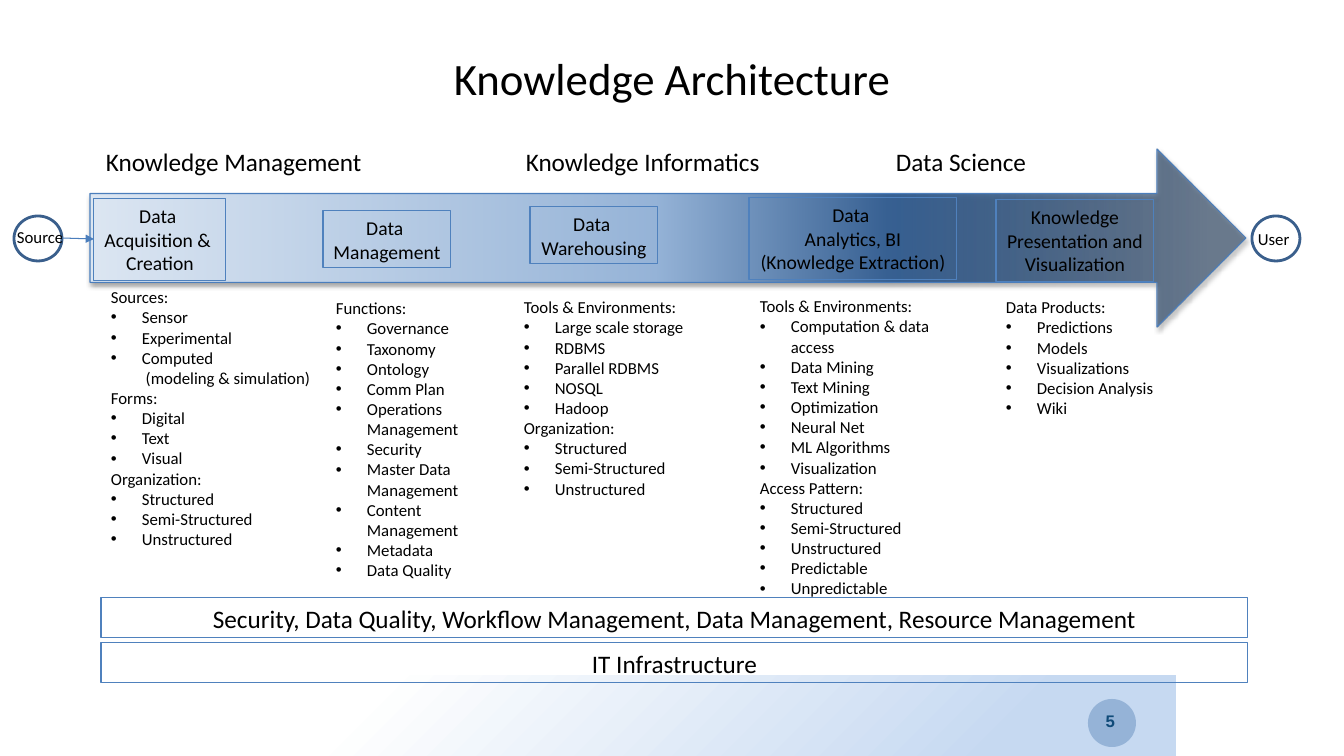
"""Build the Knowledge Architecture slide."""
from copy import deepcopy

from lxml.etree import SubElement
from pptx import Presentation
from pptx.dml.color import RGBColor
from pptx.enum.shapes import MSO_CONNECTOR, MSO_SHAPE
from pptx.enum.text import MSO_ANCHOR, MSO_AUTO_SIZE, PP_ALIGN
from pptx.oxml.ns import qn
from pptx.util import Emu, Pt

BLACK = RGBColor(0x00, 0x00, 0x00)
FRAME_BLUE = RGBColor(0x4F, 0x81, 0xBD)
ARROW_BLUE = RGBColor(0x4B, 0x7E, 0xBC)
RING_BLUE = RGBColor(0x3A, 0x5F, 0x8C)
BADGE_BLUE = RGBColor(0x95, 0xB3, 0xD7)
NUMBER_BLUE = RGBColor(0x10, 0x4B, 0x79)
FOOTER_STOPS = [(17, RGBColor(0xC6, 0xD9, 0xF1), 100), (80, RGBColor(0xFF, 0xFF, 0xFF), 100)]
ARROW_STOPS = [
    (0, RGBColor(0xDC, 0xE6, 0xF2), 100),
    (24, RGBColor(0xB9, 0xCD, 0xE5), 100),
    (49, RGBColor(0x95, 0xB3, 0xD7), 100),
    (69, RGBColor(0x37, 0x60, 0x92), 100),
    (97, RGBColor(0x25, 0x40, 0x61), 58),
]

TITLE = ("Knowledge Architecture", (444, 46, 461, 65))
DISCIPLINES = ["Knowledge Management", "Knowledge Informatics", "Data Science"]
DISCIPLINES_BOX = (96, 141, 1058, 40)
DISCIPLINE_TABS = [420, 790]
PAGE_NUMBER = ("5", (890, 701, 235, 40))
FOOTER_BOX = (168, 675, 1008, 81)
BADGE_BOX = (1088, 699, 48, 48)
ARROW_BOX = (90, 149, 1156, 178)
FLOW_START, FLOW_END = (62, 238), (94, 239)
FOUNDATIONS = [
    ("IT Infrastructure", 643),
    ("Security, Data Quality, Workflow Management, Data Management, Resource Management", 598),
]
ENDPOINTS = [
    ("Source", 14, (7, 222, 68, 30)),
    ("User", 1252, (1248, 224, 52, 30)),
]
STAGES = [
    ("Data \nAcquisition & \nCreation", (94, 199, 132, 82), False),
    ("Data \nManagement", (323, 211, 128, 57), False),
    ("Data \nWarehousing", (530, 207, 128, 57), False),
    ("Data \nAnalytics, BI\n(Knowledge Extraction)", (749, 198, 208, 82), False),
    ("Knowledge\nPresentation and Visualization", (996, 200, 158, 82), True),
]
STRUCTURES = ["Structured", "Semi-Structured", "Unstructured"]
COLUMNS = [
    ((101, 282, 223, 275), {
        "Sources:": ["Sensor", "Experimental", "Computed\n (modeling & simulation)"],
        "Forms:": ["Digital", "Text", "Visual"],
        "Organization:": STRUCTURES,
    }),
    ((326, 293, 144, 295), {
        "Functions:": ["Governance", "Taxonomy", "Ontology", "Comm Plan",
                       "Operations\nManagement", "Security", "Master Data\nManagement",
                       "Content\nManagement", "Metadata", "Data Quality"],
    }),
    ((514, 292, 182, 214), {
        "Tools & Environments:": ["Large scale storage", "RDBMS", "Parallel RDBMS",
                                  "NOSQL", "Hadoop"],
        "Organization:": STRUCTURES,
    }),
    ((750, 291, 200, 316), {
        "Tools & Environments:": ["Computation & data\naccess", "Data Mining", "Text Mining",
                                  "Optimization", "Neural Net", "ML Algorithms",
                                  "Visualization"],
        "Access Pattern:": STRUCTURES + ["Predictable", "Unpredictable"],
    }),
    ((996, 292, 170, 132), {
        "Data Products:": ["Predictions", "Models", "Visualizations", "Decision Analysis",
                           "Wiki"],
    }),
]
BULLET_INDENT = 31


def px(length):
    return Emu(round(length * 914400 / 100.8))


def element(parent, tag, **attributes):
    return SubElement(parent, qn(tag), {key: str(value) for key, value in attributes.items()})


def write(shape, lines, size=12, font="Calibri", color=BLACK, bold=False,
          align=PP_ALIGN.LEFT, anchor=MSO_ANCHOR.TOP, wrap=False, grow=True, tabs=()):
    frame = shape.text_frame
    frame.word_wrap = wrap
    frame.vertical_anchor = anchor
    frame.auto_size = MSO_AUTO_SIZE.SHAPE_TO_FIT_TEXT if grow else MSO_AUTO_SIZE.NONE
    for index, (text, bulleted) in enumerate(lines):
        paragraph = frame.add_paragraph() if index else frame.paragraphs[0]
        paragraph.text = text
        paragraph.alignment = align
        properties = paragraph._p.get_or_add_pPr()
        if bulleted:
            properties.set("marL", str(px(BULLET_INDENT)))
            properties.set("indent", str(-px(BULLET_INDENT)))
            element(properties, "a:buFont", typeface="Arial")
            element(properties, "a:buChar", char="•")
        if tabs:
            stops = element(properties, "a:tabLst")
            for tab in tabs:
                element(stops, "a:tab", pos=px(tab), algn="l")
        for run in paragraph.runs:
            run.font.size = Pt(size)
            run.font.name = font
            run.font.bold = bold
            run.font.color.rgb = color
        for line_break in paragraph._p.findall(qn("a:br")):
            line_break.append(deepcopy(paragraph.runs[0]._r.rPr))


def add_label(slide, text, box, **text_format):
    write(slide.shapes.add_textbox(*map(px, box)), [(text, False)], **text_format)


def add_figure(slide, kind, box, fill=None, line=None, width=0.75):
    figure = slide.shapes.add_shape(kind, *map(px, box))
    figure.shadow.inherit = False
    if fill is None:
        figure.fill.background()
    else:
        figure.fill.solid()
        figure.fill.fore_color.rgb = fill
    if line is None:
        figure.line.fill.background()
    else:
        figure.line.color.rgb = line
        figure.line.width = Pt(width)
    return figure


def add_gradient(figure, stops):
    figure.fill.gradient()
    gradient = figure._element.spPr.find(qn("a:gradFill"))
    for child in list(gradient):
        gradient.remove(child)
    stop_list = element(gradient, "a:gsLst")
    for position, color, opacity in stops:
        stop = element(stop_list, "a:gs", pos=position * 1000)
        shade = element(stop, "a:srgbClr", val=color)
        if opacity < 100:
            element(shade, "a:alpha", val=opacity * 1000)
    return gradient


def add_backdrop(slide):
    footer = add_figure(slide, MSO_SHAPE.RECTANGLE, FOOTER_BOX)
    glow = element(add_gradient(footer, FOOTER_STOPS), "a:path", path="circle")
    element(glow, "a:fillToRect", l=100000, t=100000)
    add_figure(slide, MSO_SHAPE.OVAL, BADGE_BOX, fill=BADGE_BLUE)
    add_label(slide, *PAGE_NUMBER, font="Arial", color=NUMBER_BLUE, bold=True,
              align=PP_ALIGN.RIGHT, anchor=MSO_ANCHOR.MIDDLE, wrap=True, grow=False)
    arrow = add_figure(slide, MSO_SHAPE.RIGHT_ARROW, ARROW_BOX, line=ARROW_BLUE)
    element(add_gradient(arrow, ARROW_STOPS), "a:lin", ang=0, scaled=0)
    shadow = element(arrow._element.spPr.find(qn("a:effectLst")), "a:outerShdw",
                     blurRad=Pt(3.1), dist=Pt(1.8), dir=5400000, rotWithShape=0)
    element(element(shadow, "a:srgbClr", val=BLACK), "a:alpha", val=35000)


def add_flow(slide):
    flow = slide.shapes.add_connector(MSO_CONNECTOR.STRAIGHT, *map(px, FLOW_START + FLOW_END))
    flow.line.color.rgb = ARROW_BLUE
    flow.line.width = Pt(0.75)
    element(flow.line._get_or_add_ln(), "a:tailEnd", type="triangle")
    element(flow._element.spPr, "a:effectLst")


def main():
    deck = Presentation()
    deck.slide_width, deck.slide_height = px(1344), px(756)
    slide = deck.slides.add_slide(deck.slide_layouts[6])
    add_backdrop(slide)
    for text, top in FOUNDATIONS:
        bar = add_figure(slide, MSO_SHAPE.RECTANGLE, (101, top, 1147, 40), line=FRAME_BLUE)
        write(bar, [(text, False)], size=18, align=PP_ALIGN.CENTER, wrap=True)
    for box, groups in COLUMNS:
        lines = [line for heading, items in groups.items()
                 for line in [(heading, False)] + [(item, True) for item in items]]
        write(slide.shapes.add_textbox(*map(px, box)), lines)
    for text, box, wrap in STAGES:
        stage = add_figure(slide, MSO_SHAPE.RECTANGLE, box, line=FRAME_BLUE)
        write(stage, [(text, False)], size=14, align=PP_ALIGN.CENTER, wrap=wrap)
    add_label(slide, *TITLE, size=32)
    for text, left, box in ENDPOINTS:
        add_figure(slide, MSO_SHAPE.OVAL, (left, 216, 48, 45), line=RING_BLUE, width=2)
        add_label(slide, text, box)
    add_flow(slide)
    add_label(slide, "\t".join(DISCIPLINES), DISCIPLINES_BOX, size=18, wrap=True,
              tabs=DISCIPLINE_TABS)
    deck.save("out.pptx")


if __name__ == "__main__":
    main()
